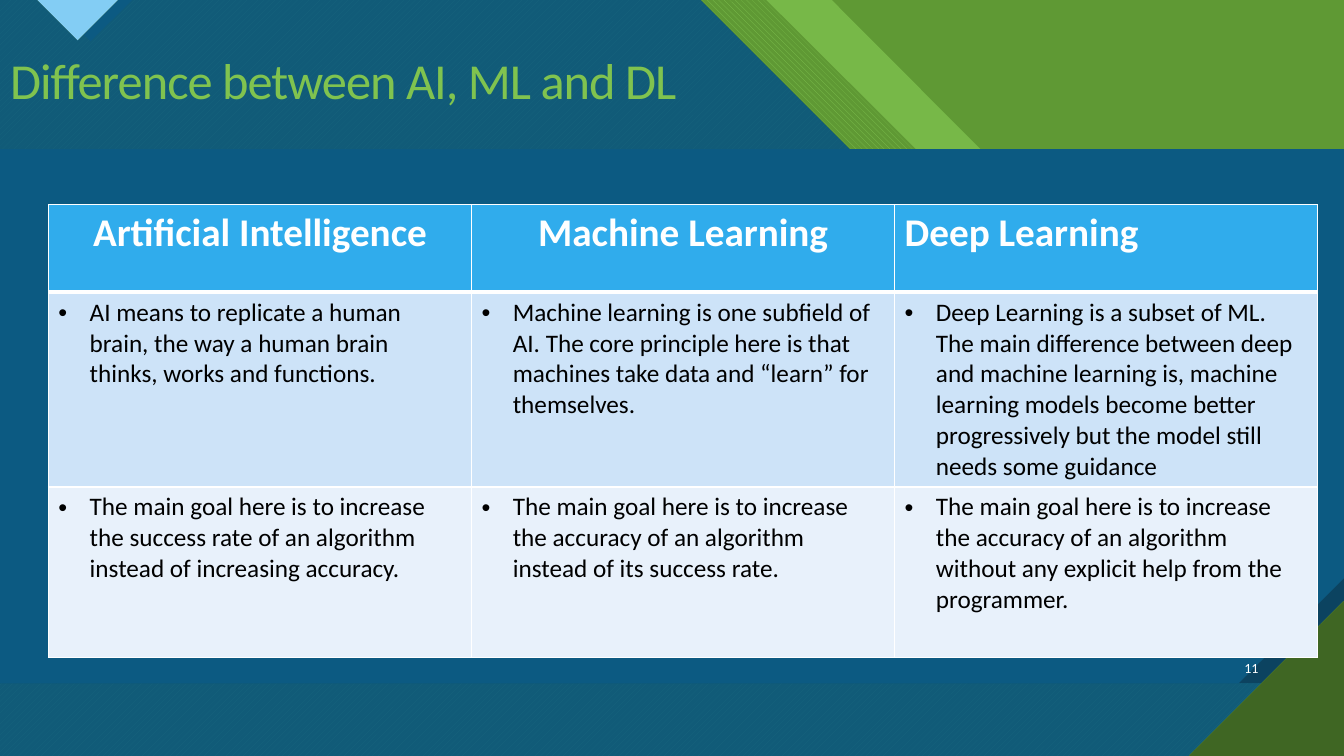
from lxml.etree import SubElement
from pptx import Presentation
from pptx.dml.color import RGBColor
from pptx.enum.dml import MSO_PATTERN as PATTERN
from pptx.enum.shapes import MSO_SHAPE as SHAPE
from pptx.enum.text import MSO_ANCHOR as ANCHOR, MSO_AUTO_SIZE as AUTO_SIZE, PP_ALIGN as ALIGN
from pptx.oxml import parse_xml
from pptx.oxml.ns import nsdecls, qn
from pptx.util import Inches, Pt

FONT = "Calibri"
WHITE = RGBColor(0xFF, 0xFF, 0xFF)
BLACK = RGBColor(0x00, 0x00, 0x00)
GREEN = RGBColor(0x5F, 0x99, 0x34)
LIGHT_GREEN = RGBColor(0x80, 0xC3, 0x4F)
DARK_GREEN = RGBColor(0x3F, 0x66, 0x23)
BLUE = RGBColor(0x0C, 0x5A, 0x82)
DARK_BLUE = RGBColor(0x0C, 0x43, 0x60)
SKY = RGBColor(0x83, 0xCD, 0xF4)
HEADER = RGBColor(0x30, 0xAC, 0xEC)
ROW_FILLS = (HEADER, RGBColor(0xCD, 0xE3, 0xF8), RGBColor(0xE8, 0xF1, 0xFB))

PALE_BAND = [(0, 0), (8.25, 0), (11.22, 2.98), (12.34, 2.98), (13.33, 3.97), (13.33, 7.5), (0, 7.5)]
STRIPED_BAND = [(0.66, 0), (7.6, 0), (10.58, 2.97), (11.84, 2.97), (13.33, 4.47), (13.33, 7.51), (0.66, 7.51)]
BLUE_AREA = [(0, 0), (6.95, 0), (9.92, 2.97), (11.18, 2.97), (13.33, 5.13), (13.33, 7.51), (0, 7.51)]
TAB_SHADE = [(0.48, 0), (0.9, 0.41), (1.31, 0)]
TAB = [(0.37, 0), (0.77, 0.4), (1.17, 0)]
CORNER = [(11.79, 7.5), (13.33, 7.5), (13.33, 5.96)]

ROW_HEIGHTS = (0.87, 1.93, 1.69)
ROWS = (
    ("Artificial Intelligence", "Machine Learning", "Deep Learning"),
    (
        "AI means to replicate a human brain, the way a human brain thinks, works and functions.",
        "Machine learning is one subfield of AI. The core principle here is that machines take "
        "data and “learn” for themselves.",
        "Deep Learning is a subset of ML. The main difference between deep and machine learning "
        "is, machine learning models become better progressively but the model still needs some guidance",
    ),
    (
        "The main goal here is to increase the success rate of an algorithm instead of increasing accuracy.",
        "The main goal here is to increase the accuracy of an algorithm instead of its success rate.",
        "The main goal here is to increase the accuracy of an algorithm without any explicit help "
        "from the programmer.",
    ),
)


def paint(sp, color, back=None, pattern=None, alpha=None):
    """Give a shape a solid, translucent or patterned fill without outline."""
    sp.shadow.inherit = False
    sp.line.fill.background()
    if pattern:
        sp.fill.patterned()
        sp.fill.pattern = pattern
        sp.fill.fore_color.rgb = color
        sp.fill.back_color.rgb = back
    else:
        sp.fill.solid()
        sp.fill.fore_color.rgb = color
    if alpha:
        clr = sp.element.spPr.find(qn("a:solidFill")).find(qn("a:srgbClr"))
        SubElement(clr, qn("a:alpha")).set("val", str(alpha * 1000))


def add_polygon(s, points, color, **fill):
    """Draw a closed polygon through points given in inches."""
    corners = [(Inches(x), Inches(y)) for x, y in points]
    builder = s.shapes.build_freeform(*corners[0])
    builder.add_line_segments(corners[1:], close=True)
    paint(builder.convert_to_shape(), color, **fill)


def add_panel(s, snip, color, **fill):
    """Draw the wide panel with its lower right corner snipped."""
    sp = s.shapes.add_shape(SHAPE.SNIP_1_RECTANGLE, 0, Inches(1.48), Inches(13.33), Inches(5.3))
    sp.adjustments[0] = snip
    sp.element.spPr.find(qn("a:xfrm")).set("flipV", "1")
    paint(sp, color, **fill)


def add_backdrop(s):
    """Draw the layered coloured background."""
    sp = s.shapes.add_shape(SHAPE.RECTANGLE, 0, 0, Inches(13.33), Inches(7.5))
    paint(sp, GREEN)
    add_polygon(s, PALE_BAND, LIGHT_GREEN, alpha=74)
    add_polygon(s, STRIPED_BAND, LIGHT_GREEN, back=GREEN, pattern=PATTERN.WIDE_DOWNWARD_DIAGONAL)
    add_polygon(s, BLUE_AREA, LIGHT_GREEN, back=DARK_GREEN, pattern=PATTERN.WIDE_UPWARD_DIAGONAL)
    add_polygon(s, BLUE_AREA, BLUE, alpha=90)
    add_polygon(s, TAB_SHADE, BLUE)
    add_polygon(s, TAB, SKY, back=DARK_GREEN, pattern=PATTERN.DARK_HORIZONTAL)
    add_panel(s, 0, DARK_BLUE, back=DARK_GREEN, pattern=PATTERN.DARK_VERTICAL)
    add_panel(s, 0.197, BLUE)
    add_polygon(s, CORNER, DARK_GREEN, back=LIGHT_GREEN, pattern=PATTERN.DARK_HORIZONTAL)


def style_text(p, size, color, bold=False):
    """Format the first run of a paragraph and return it."""
    r = p.runs[0]
    r.font.name, r.font.size, r.font.bold = FONT, Pt(size), bold
    r.font.color.rgb = color
    return r


def set_borders(cell, **widths):
    """Draw white borders of the given point widths around a cell."""
    tcPr = cell._tc.get_or_add_tcPr()
    for i, side in enumerate("LRTB"):
        tcPr.insert(i, parse_xml(
            f'<a:ln{side} {nsdecls("a")} w="{Pt(widths.get(side, 1))}">'
            f'<a:solidFill><a:srgbClr val="{WHITE}"/></a:solidFill></a:ln{side}>'))


def add_bullet(p):
    """Give a paragraph a round bullet with a hanging indent."""
    pPr = p._p.get_or_add_pPr()
    pPr.set("marL", str(Inches(0.31)))
    pPr.set("indent", str(-Inches(0.31)))
    SubElement(pPr, qn("a:buFont")).set("typeface", "Arial")
    SubElement(pPr, qn("a:buChar")).set("char", "•")


def fill_cell(cell, row, col):
    """Write and format one cell of the comparison table."""
    cell.fill.solid()
    cell.fill.fore_color.rgb = ROW_FILLS[row]
    cell.text_frame.text = ROWS[row][col]
    p = cell.text_frame.paragraphs[0]
    if row == 0:
        p.alignment = ALIGN.LEFT if col == 2 else ALIGN.CENTER
        style_text(p, 28, WHITE, bold=True)
        set_borders(cell, B=3)
    else:
        add_bullet(p)
        style_text(p, 18, BLACK)
        set_borders(cell, T=3 if row == 1 else 1)


def add_comparison(s):
    """Add the three-column comparison table."""
    table = s.shapes.add_table(len(ROWS), 3, Inches(0.48), Inches(2.03), Inches(12.59),
                               Inches(sum(ROW_HEIGHTS))).table
    for row, height in enumerate(ROW_HEIGHTS):
        table.rows[row].height = Inches(height)
        for col in range(3):
            fill_cell(table.cell(row, col), row, col)


def add_page_number(s, text):
    """Add the page number at the lower right."""
    tf = s.shapes.add_textbox(Inches(11.98), Inches(6.43), Inches(0.6), Inches(0.4)).text_frame
    tf.word_wrap = True
    tf.vertical_anchor = ANCHOR.MIDDLE
    tf.text = text
    tf.paragraphs[0].alignment = ALIGN.RIGHT
    style_text(tf.paragraphs[0], 10, WHITE)


def set_title(s, text):
    """Place the title in front of the backdrop and format it."""
    sp = s.shapes.title
    sp.element.getparent().append(sp.element)
    sp.left, sp.top, sp.width, sp.height = 0, Inches(0.51), Inches(12.04), Inches(0.65)
    tf = sp.text_frame
    tf.text = text
    tf.word_wrap = True
    tf.auto_size = AUTO_SIZE.SHAPE_TO_FIT_TEXT
    tf.vertical_anchor = ANCHOR.TOP
    p = tf.paragraphs[0]
    p.alignment, p.line_spacing = ALIGN.LEFT, 0.9
    r = style_text(p, 36, LIGHT_GREEN)
    r._r.get_or_add_rPr().set("spc", "-70")


def main():
    """Build and save the slide."""
    prs = Presentation()
    prs.slide_width, prs.slide_height = Inches(13.33), Inches(7.5)
    s = prs.slides.add_slide(prs.slide_layouts[5])
    add_backdrop(s)
    add_comparison(s)
    add_page_number(s, "11")
    set_title(s, "Difference between AI, ML and DL")
    prs.save("out.pptx")


if __name__ == "__main__":
    main()
